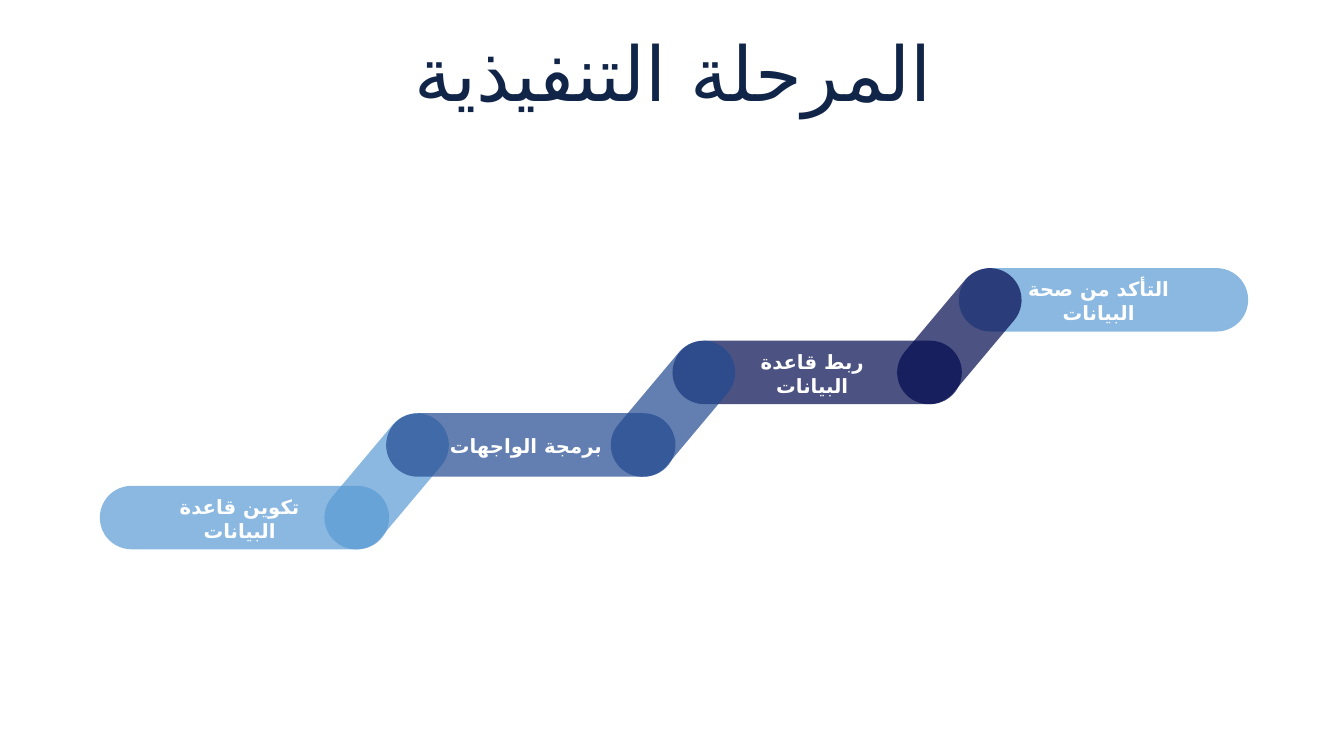
"""Build the slide of the implementation phase as a rising chain of steps."""
from lxml.etree import SubElement
from pptx import Presentation
from pptx.dml.color import RGBColor
from pptx.enum.shapes import MSO_SHAPE as Shape
from pptx.enum.text import MSO_ANCHOR as Anchor, MSO_AUTO_SIZE as AutoSize, PP_ALIGN as Align
from pptx.oxml.ns import qn
from pptx.util import Inches, Pt

FONT, ARABIC_FONT = "Lato", "DejaVu Sans"
NAVY, WHITE = "112548", "FFFFFF"
SKY, BLUE, INDIGO = "5A9BD5", "224A90", "010A4F"
RUN, RISE = 2.84, 0.72
STEPS = [
    ("تكوين قاعدة البيانات", SKY),
    ("برمجة الواجهات", BLUE),
    ("ربط قاعدة البيانات", INDIGO),
    ("التأكد من صحة البيانات", SKY),
]


def rgb(color):
    """Turn a hex string into a colour."""
    return RGBColor.from_string(color)


def write(frame, text, size=14, color=WHITE, bold=False, spacing=None, before=0):
    """Write one centred right-to-left paragraph into a text frame."""
    frame.word_wrap = True
    frame.vertical_anchor = Anchor.MIDDLE
    paragraph = frame.paragraphs[0]
    paragraph.alignment = Align.CENTER
    paragraph.line_spacing = spacing
    paragraph.space_before = Pt(before)
    paragraph._p.get_or_add_pPr().set("rtl", "1")
    run = paragraph.add_run()
    run.text = text
    run.font.name = FONT
    run.font.size = Pt(size)
    run.font.bold = bold
    run.font.color.rgb = rgb(color)
    SubElement(run._r.get_or_add_rPr(), qn("a:cs"), typeface=ARABIC_FONT)


def add_title(slide, text):
    """Place and format the slide title."""
    title = slide.shapes.title
    title.left, title.top = Inches(0.35), Inches(0.37)
    title.width, title.height = Inches(12.66), Inches(0.79)
    write(title.text_frame, text, size=54, color=NAVY, spacing=0.9, before=10)


def add_pill(slide, left, top, width, color, rotation=0):
    """Draw a translucent bar with fully rounded ends."""
    pill = slide.shapes.add_shape(
        Shape.ROUNDED_RECTANGLE, Inches(left), Inches(top), Inches(width), Inches(0.63))
    pill.adjustments[0] = 0.5
    pill.rotation = rotation
    pill.shadow.inherit = False
    pill.line.fill.background()
    pill.fill.solid()
    pill.fill.fore_color.rgb = rgb(color)
    tint = pill.fill._xPr.find(qn("a:solidFill"))[0]
    SubElement(tint, qn("a:alpha"), val="70000")


def add_bar(slide, step):
    """Draw the level bar of a step."""
    add_pill(slide, 0.99 + RUN * step, 4.82 - RISE * step, 2.87, STEPS[step][1])


def add_link(slide, step):
    """Draw the slanted link from a step up to the next."""
    add_pill(slide, 3.05 + RUN * step, 4.46 - RISE * step, 1.57, STEPS[step][1], rotation=310)


def add_label(slide, step):
    """Write the name of a step over its bar."""
    label = slide.shapes.add_textbox(
        Inches(1.6 + RUN * step), Inches(4.86 - RISE * step), Inches(1.65), Inches(0.57))
    label.text_frame.margin_left = 0
    label.text_frame.auto_size = AutoSize.SHAPE_TO_FIT_TEXT
    write(label.text_frame, STEPS[step][0], bold=True)


def main():
    """Build and save the presentation."""
    deck = Presentation()
    deck.slide_width, deck.slide_height = Inches(13.33), Inches(7.5)
    slide = deck.slides.add_slide(deck.slide_layouts[5])
    add_title(slide, "المرحلة التنفيذية")
    add_bar(slide, 0)
    add_link(slide, 0)
    for step in range(1, len(STEPS)):
        add_bar(slide, step)
    for step in range(len(STEPS)):
        add_label(slide, step)
    for step in range(1, len(STEPS) - 1):
        add_link(slide, step)
    deck.save("out.pptx")


if __name__ == "__main__":
    main()
